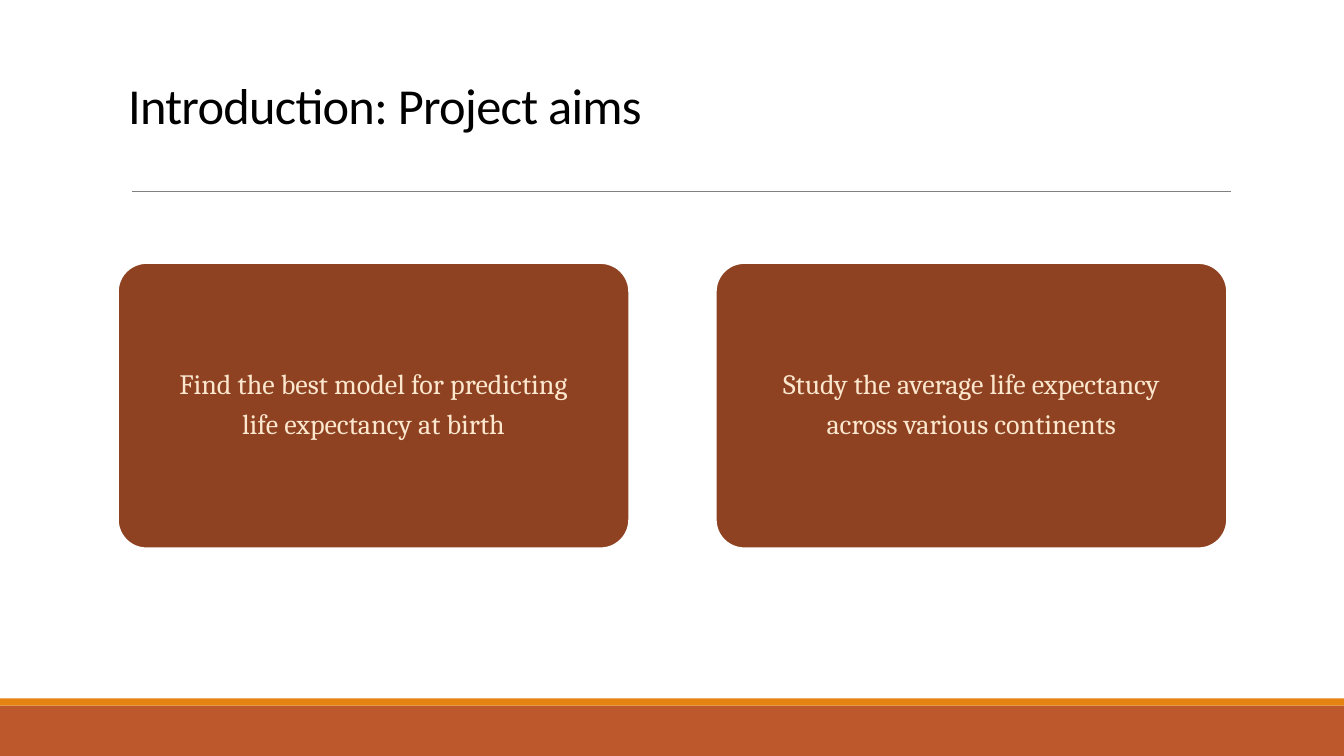
from lxml.etree import SubElement
from pptx import Presentation
from pptx.dml.color import RGBColor
from pptx.enum.shapes import MSO_CONNECTOR, MSO_SHAPE
from pptx.enum.text import MSO_ANCHOR, PP_ALIGN
from pptx.oxml.ns import qn
from pptx.util import Inches, Pt

BLACK = RGBColor(0x00, 0x00, 0x00)
WHITE = RGBColor(0xFF, 0xFF, 0xFF)
GREY = RGBColor(0x80, 0x80, 0x80)
RUST = RGBColor(0xBD, 0x58, 0x2C)
ORANGE = RGBColor(0xE4, 0x83, 0x12)
BROWN = RGBColor(0x8E, 0x42, 0x21)
CREAM = RGBColor(0xFB, 0xE6, 0xCE)

SLIDE_W, SLIDE_H = 13.33, 7.5
MARGIN, CONTENT_W = 1.17, 11
CARD_GAP = 0.86

AIMS = [
    ["Find the best model for predicting", "life expectancy at birth"],
    ["Study the average life expectancy", "across various continents"],
]


def write_text(frame, lines, *, font, size, color, align=PP_ALIGN.LEFT,
               anchor=MSO_ANCHOR.MIDDLE, leading=1.0, after=0, inset=0.1, tracking=0):
    """Fill a text frame with one formatted paragraph per line."""
    frame.word_wrap = True
    frame.vertical_anchor = anchor
    frame.margin_left = frame.margin_right = Inches(inset)
    frame.margin_top = frame.margin_bottom = Inches(0.05)
    for index, line in enumerate(lines):
        paragraph = frame.add_paragraph() if index else frame.paragraphs[0]
        paragraph.alignment = align
        paragraph.line_spacing = leading
        paragraph.space_before = Pt(0)
        paragraph.space_after = Pt(after)
        run = paragraph.add_run()
        run.text = line
        run.font.name = font
        run.font.size = Pt(size)
        run.font.color.rgb = color
        if tracking:
            run.font._element.set("spc", str(round(tracking * 100)))


def add_block(slide, preset, box, fill):
    """Add a flat filled shape without an outline."""
    block = slide.shapes.add_shape(preset, *map(Inches, box))
    block.shadow.inherit = False
    block.fill.solid()
    block.fill.fore_color.rgb = fill
    block.line.fill.background()
    return block


def add_footer(slide, top, height, stripe):
    """Draw the footer band with a thin stripe along its upper edge."""
    add_block(slide, MSO_SHAPE.RECTANGLE, (0, top, SLIDE_W, height), RUST)
    add_block(slide, MSO_SHAPE.RECTANGLE, (0, top - stripe, SLIDE_W, stripe), ORANGE)


def add_heading(slide, left, top, width, height):
    """Place the title and the rule below it."""
    title = slide.shapes.title
    title.left, title.top, title.width, title.height = map(Inches, (left, top, width, height))
    write_text(title.text_frame, ["Introduction: Project aims"], font="Calibri", size=36,
               color=BLACK, anchor=MSO_ANCHOR.BOTTOM, leading=0.85, tracking=-0.5)
    rule_left, rule_y = left + 0.14, top + height + 0.51
    rule = slide.shapes.add_connector(
        MSO_CONNECTOR.STRAIGHT,
        *map(Inches, (rule_left, rule_y, rule_left + 10.9, rule_y)))
    rule.line.color.rgb = GREY
    rule.line.width = Pt(0.5)
    SubElement(rule._element.spPr, qn("a:effectLst"))


def add_aims(slide, left, top, width, height):
    """Spread the aim cards evenly across the box."""
    card_w = (width - CARD_GAP * (len(AIMS) - 1)) / len(AIMS)
    for column, aim in enumerate(AIMS):
        card_left = left + column * (card_w + CARD_GAP)
        card = add_block(slide, MSO_SHAPE.ROUNDED_RECTANGLE,
                         (card_left, top, card_w, height), BROWN)
        card.adjustments[0] = 0.1
        card.line.color.rgb = WHITE
        card.line.width = Pt(1.25)
        write_text(card.text_frame, aim, font="Cambria", size=20, color=CREAM,
                   align=PP_ALIGN.CENTER, leading=0.9, after=7, inset=0.08)


def main():
    """Build and save the project aims slide."""
    deck = Presentation()
    deck.slide_width, deck.slide_height = Inches(SLIDE_W), Inches(SLIDE_H)
    slide = deck.slides.add_slide(deck.slide_layouts[5])
    add_footer(slide, 7, 0.5, 0.07)
    add_heading(slide, MARGIN, 0.65, CONTENT_W, 0.74)
    add_aims(slide, MARGIN, 2.61, CONTENT_W, 2.83)
    deck.save("out.pptx")


if __name__ == "__main__":
    main()
